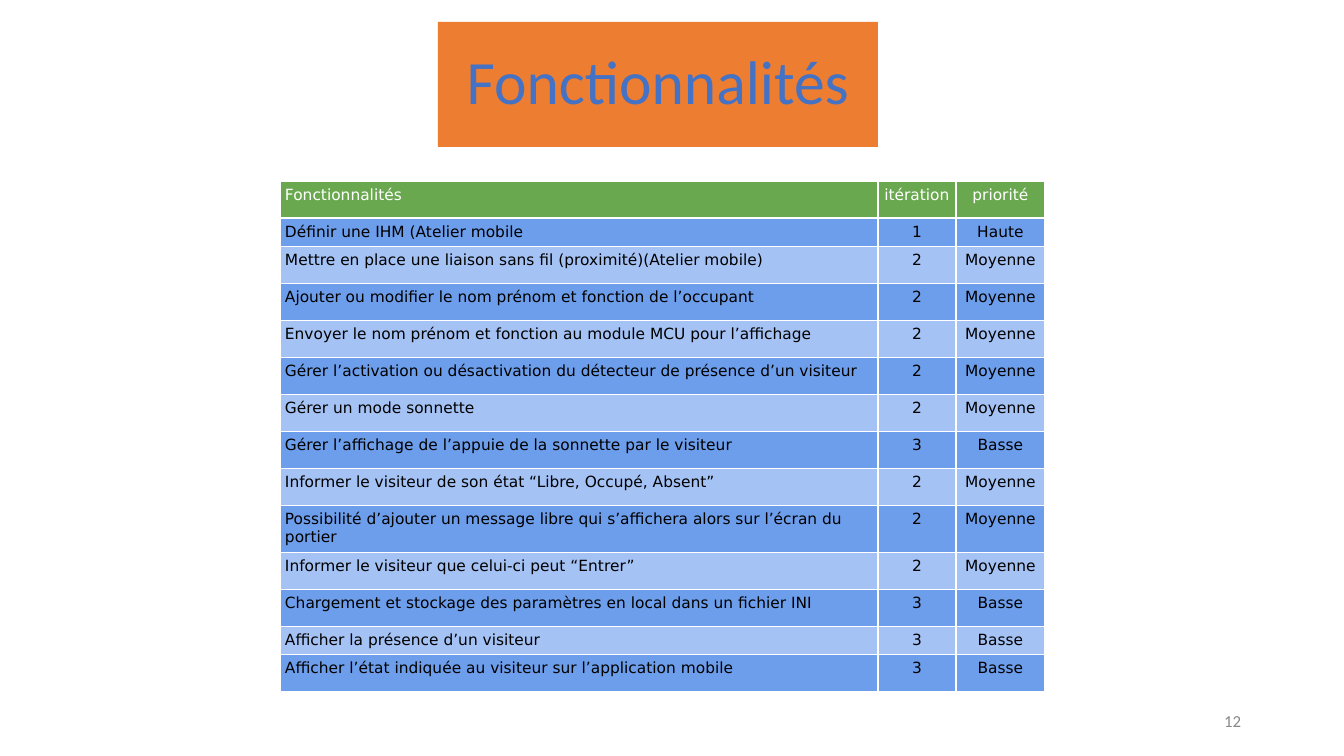
import pptx
import pptx.util
import pptx.dml.color
import pptx.enum.text
import pptx.oxml.ns
import lxml.etree

SLIDE_WIDTH, SLIDE_HEIGHT = 1344, 756
EMU_PER_PX = 12192000 / SLIDE_WIDTH
ALIGN = pptx.enum.text.PP_ALIGN
ANCHOR = pptx.enum.text.MSO_ANCHOR

ORANGE, BLUE, GREY, WHITE, BLACK = "ED7D31", "4472C4", "888888", "FFFFFF", "000000"
HEADER_FILL, BAND_FILLS = "6AA84F", ("6D9EEB", "A4C2F4")

COLUMN_WIDTHS = (598, 78, 89)
ROW_HEIGHT, SHORT_ROW, TWO_LINE_ROW = 37, 27, 45
FEATURES = [
    ("Fonctionnalités", "itération", "priorité", ROW_HEIGHT),
    ("Définir une IHM (Atelier mobile", "1", "Haute", SHORT_ROW),
    ("Mettre en place une liaison sans fil (proximité)(Atelier mobile)", "2", "Moyenne", ROW_HEIGHT),
    ("Ajouter ou modifier le nom prénom et fonction de l’occupant", "2", "Moyenne", ROW_HEIGHT),
    ("Envoyer le nom prénom et fonction au module MCU pour l’affichage", "2", "Moyenne", ROW_HEIGHT),
    ("Gérer l’activation ou désactivation du détecteur de présence d’un visiteur", "2", "Moyenne", ROW_HEIGHT),
    ("Gérer un mode sonnette", "2", "Moyenne", ROW_HEIGHT),
    ("Gérer l’affichage de l’appuie de la sonnette par le visiteur", "3", "Basse", ROW_HEIGHT),
    ("Informer le visiteur de son état “Libre, Occupé, Absent”", "2", "Moyenne", ROW_HEIGHT),
    ("Possibilité d’ajouter un message libre qui s’affichera alors sur l’écran du portier",
     "2", "Moyenne", TWO_LINE_ROW),
    ("Informer le visiteur que celui-ci peut “Entrer”", "2", "Moyenne", ROW_HEIGHT),
    ("Chargement et stockage des paramètres en local dans un fichier INI", "3", "Basse", ROW_HEIGHT),
    ("Afficher la présence d’un visiteur", "3", "Basse", SHORT_ROW),
    ("Afficher l’état indiquée au visiteur sur l’application mobile", "3", "Basse", ROW_HEIGHT),
]


def px(length):
    return pptx.util.Emu(round(length * EMU_PER_PX))


def color(hex_string):
    return pptx.dml.color.RGBColor.from_string(hex_string)


def fill_solid(target, hex_string):
    target.fill.solid()
    target.fill.fore_color.rgb = color(hex_string)


def write_text(frame, text, *, size, ink, font="Calibri", align=ALIGN.LEFT, line_spacing=1.0):
    frame.word_wrap = True
    paragraph = frame.paragraphs[0]
    paragraph.alignment = align
    paragraph.line_spacing = line_spacing
    run = paragraph.add_run()
    run.text = text
    run.font.name = font
    run.font.size = pptx.util.Pt(size)
    run.font.color.rgb = color(ink)


def add_borders(cell, hex_string, points):
    properties = cell._tc.get_or_add_tcPr()
    for side in ("a:lnL", "a:lnR", "a:lnT", "a:lnB"):
        line = lxml.etree.SubElement(properties, pptx.oxml.ns.qn(side), w=str(pptx.util.Pt(points)))
        solid = lxml.etree.SubElement(line, pptx.oxml.ns.qn("a:solidFill"))
        lxml.etree.SubElement(solid, pptx.oxml.ns.qn("a:srgbClr"), val=hex_string)


# Title banner
def place_title(slide, left, top, width, height):
    title = slide.shapes.title
    title.left, title.top, title.width, title.height = map(px, (left, top, width, height))
    fill_solid(title, ORANGE)
    title.text_frame.auto_size = pptx.enum.text.MSO_AUTO_SIZE.NONE
    title.text_frame.vertical_anchor = ANCHOR.MIDDLE
    write_text(title.text_frame, "Fonctionnalités", size=44, ink=BLUE,
               align=ALIGN.CENTER, line_spacing=0.9)


# Page number
def place_page_number(slide, left, top, width, height):
    box = slide.shapes.add_textbox(*map(px, (left, top, width, height)))
    box.text_frame.vertical_anchor = ANCHOR.MIDDLE
    write_text(box.text_frame, "12", size=12, ink=GREY, align=ALIGN.RIGHT)


# Feature table
def place_features(slide, left, top):
    width, height = sum(COLUMN_WIDTHS), sum(feature[-1] for feature in FEATURES)
    table = slide.shapes.add_table(len(FEATURES), len(COLUMN_WIDTHS),
                                   *map(px, (left, top, width, height))).table
    table.first_row = table.horz_banding = False
    for column, column_width in zip(table.columns, COLUMN_WIDTHS):
        column.width = px(column_width)
    for row_index, (*texts, row_height) in enumerate(FEATURES):
        table.rows[row_index].height = px(row_height)
        is_header = row_index == 0
        row_fill = HEADER_FILL if is_header else BAND_FILLS[(row_index - 1) % 2]
        for column_index, text in enumerate(texts):
            cell = table.cell(row_index, column_index)
            cell.margin_left = cell.margin_right = cell.margin_top = cell.margin_bottom = px(5)
            cell.vertical_anchor = ANCHOR.TOP
            add_borders(cell, WHITE, 1)
            fill_solid(cell, row_fill)
            write_text(cell.text_frame, text, size=11, font="DejaVu Sans",
                       ink=WHITE if is_header else BLACK,
                       align=ALIGN.CENTER if column_index else ALIGN.LEFT)


def main():
    presentation = pptx.Presentation()
    presentation.slide_width, presentation.slide_height = px(SLIDE_WIDTH), px(SLIDE_HEIGHT)
    slide = presentation.slides.add_slide(presentation.slide_layouts.get_by_name("Title Only"))
    place_title(slide, 438, 22, 440, 125)
    place_page_number(slide, 949, 701, 302, 40)
    place_features(slide, 280, 181)
    presentation.save("out.pptx")


if __name__ == "__main__":
    main()
